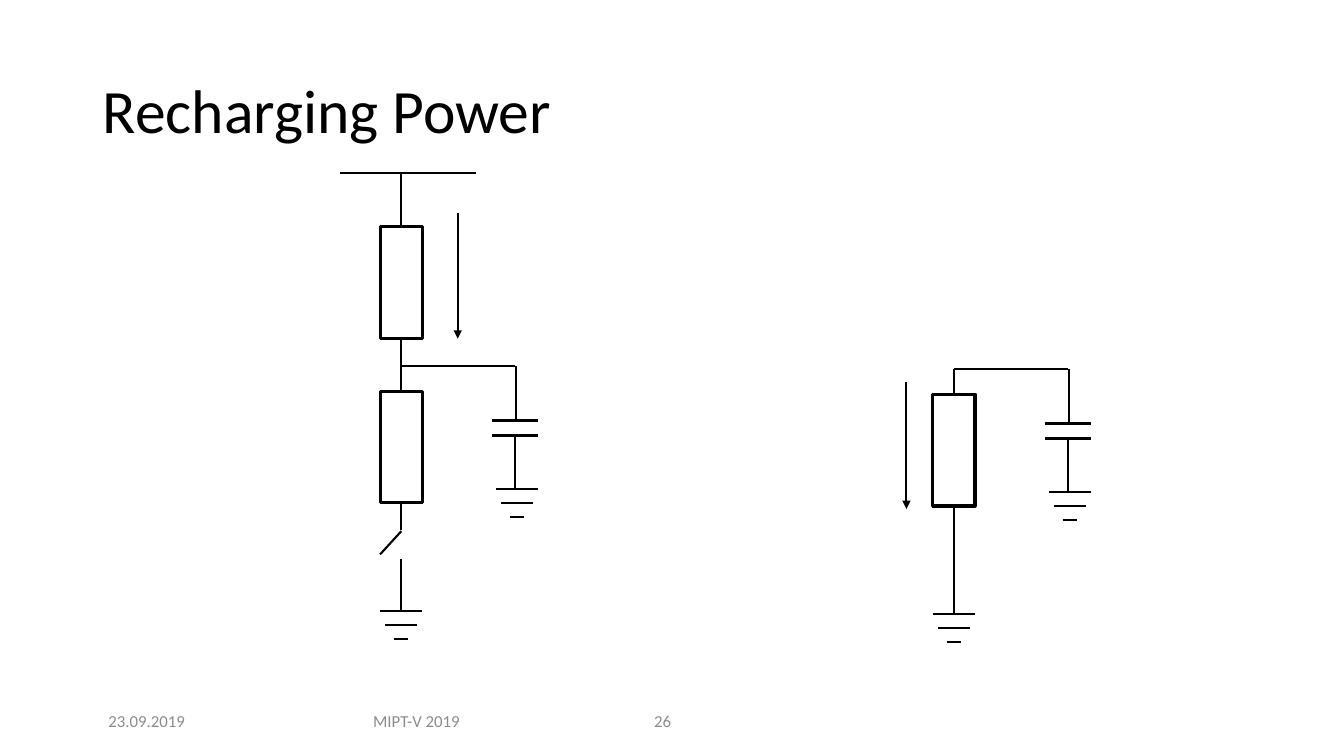
from lxml import etree
from pptx import Presentation
from pptx.dml.color import RGBColor
from pptx.enum.shapes import MSO_CONNECTOR, MSO_SHAPE
from pptx.enum.text import MSO_ANCHOR, PP_ALIGN
from pptx.oxml.ns import qn
from pptx.util import Pt

PX = 9144
STRAIGHT = MSO_CONNECTOR.STRAIGHT
RECTANGLE = MSO_SHAPE.RECTANGLE
MIDDLE = MSO_ANCHOR.MIDDLE
LEFT, CENTER = PP_ALIGN.LEFT, PP_ALIGN.CENTER
COLORS = {"ink": "000000", "paper": "FFFFFF", "footer": "8C8C8C"}
THIN, THICK = 1.5, 2.25
RESISTOR_WIDTH, RESISTOR_HEIGHT = 42, 111
GROUND_WIDTHS, GROUND_STEP = (42, 32, 14), 14


def px(*lengths):
    """Turn px lengths into EMU."""
    return [length * PX for length in lengths]


def color(name):
    """Look up a palette colour."""
    return RGBColor.from_string(COLORS[name])


def ink_line(part, weight):
    """Draw the line of a part in ink."""
    part.line.color.rgb = color("ink")
    part.line.width = Pt(weight)


def add_wire(shapes, x1, y1, x2, y2, weight=THIN):
    """Draw a straight wire between two points."""
    wire = shapes.add_connector(STRAIGHT, *px(x1, y1, x2, y2))
    ink_line(wire, weight)
    etree.SubElement(wire._element.spPr, qn("a:effectLst"))
    return wire


def add_current(shapes, x, top, bottom):
    """Draw a downward current arrow."""
    arrow = add_wire(shapes, x, top, x, bottom)
    etree.SubElement(arrow.line._get_or_add_ln(), qn("a:tailEnd"), type="triangle")


def add_resistor(shapes, x, top):
    """Draw a resistor centred on x."""
    box = px(x - RESISTOR_WIDTH // 2, top, RESISTOR_WIDTH, RESISTOR_HEIGHT)
    resistor = shapes.add_shape(RECTANGLE, *box)
    resistor.shadow.inherit = False
    resistor.fill.solid()
    resistor.fill.fore_color.rgb = color("paper")
    ink_line(resistor, THICK)


def add_ground(shapes, x, top):
    """Draw a ground symbol centred on x."""
    for row, width in enumerate(GROUND_WIDTHS):
        y = top + row * GROUND_STEP
        add_wire(shapes, x - width // 2, y, x + width // 2, y)


def add_load(shapes, x, y):
    """Draw the lower resistor, the capacitor and both grounds below node x, y."""
    add_wire(shapes, x, y, x, y + 27)
    add_resistor(shapes, x, y + 25)
    add_wire(shapes, x, y, x + 113, y)
    add_wire(shapes, x + 114, y, x + 114, y + 54)
    for plate in (y + 54, y + 69):
        add_wire(shapes, x + 90, plate, x + 136, plate, THICK)
    add_wire(shapes, x + 113, y + 69, x + 113, y + 122)
    add_ground(shapes, x + 115, y + 122)
    add_ground(shapes, x, y + 243)


def add_charging_circuit(slide, x, y):
    """Draw the circuit with supply rail and open switch around node x, y."""
    shapes = slide.shapes.add_group_shape().shapes
    add_wire(shapes, x - 61, y - 191, x + 74, y - 191)
    add_wire(shapes, x, y - 191, x, y - 138)
    add_resistor(shapes, x, y - 138)
    add_wire(shapes, x, y - 27, x, y)
    add_load(shapes, x, y)
    add_wire(shapes, x, y + 136, x, y + 163)
    add_wire(shapes, x - 21, y + 187, x, y + 164)
    add_wire(shapes, x, y + 192, x, y + 243)
    add_current(slide.shapes, x + 56, y - 152, y - 27)


def add_discharging_circuit(slide, x, y):
    """Draw the closed discharge circuit around node x, y."""
    shapes = slide.shapes.add_group_shape().shapes
    add_load(shapes, x, y)
    add_wire(shapes, x, y + 136, x, y + 243)
    add_current(slide.shapes, x - 47, y + 13, y + 139)


def add_label(slide, box, words, size, ink, align=LEFT, spacing=1.0):
    """Place one line of text, vertically centred in its box."""
    frame = slide.shapes.add_textbox(*px(*box)).text_frame
    for name, value in {"word_wrap": True, "vertical_anchor": MIDDLE}.items():
        setattr(frame, name, value)
    line = frame.paragraphs[0]
    line.text = words
    for name, value in {"alignment": align, "line_spacing": spacing}.items():
        setattr(line, name, value)
    font = line.runs[0].font
    for name, value in {"name": "Calibri", "size": Pt(size)}.items():
        setattr(font, name, value)
    font.color.rgb = color(ink)


def add_footer(slide, top, height):
    """Place the date, event and page number in the footer band."""
    for left, width, words, align in (
        (92, 107, "23.09.2019", CENTER),
        (334, 158, "MIPT-V 2019", CENTER),
        (639, 79, "26", LEFT),
    ):
        add_label(slide, (left, top, width, height), words, 12, "footer", align)


def main():
    """Build and save the slide."""
    deck = Presentation()
    deck.slide_width, deck.slide_height = px(1333, 750)
    slide = deck.slides.add_slide(deck.slide_layouts[6])
    add_label(slide, (92, 40, 1150, 145), "Recharging Power", 44, "ink", spacing=0.9)
    add_charging_circuit(slide, 398, 363)
    add_discharging_circuit(slide, 946, 366)
    add_footer(slide, 695, 40)
    deck.save("out.pptx")


if __name__ == "__main__":
    main()
